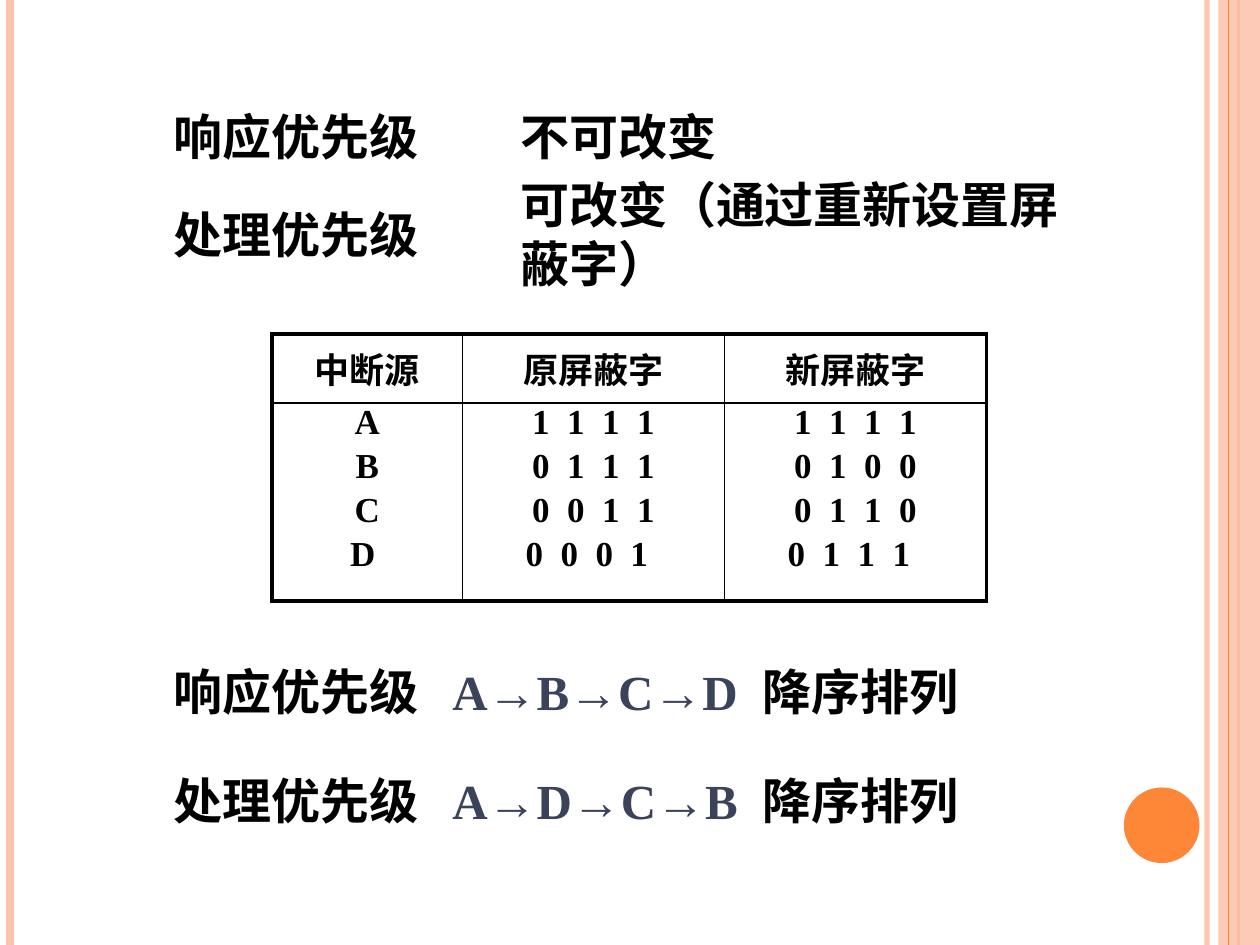
from lxml.etree import SubElement
from pptx import Presentation
from pptx.dml.color import RGBColor
from pptx.enum.shapes import MSO_CONNECTOR, MSO_SHAPE
from pptx.enum.text import MSO_ANCHOR, PP_ALIGN
from pptx.oxml.ns import qn
from pptx.util import Inches, Pt

INK = {"text": "000000", "order": "3B435B", "peach": "FEC3AE", "orange": "FE8637"}


class Deck:
    """Hold the style and the current slide, and draw each kind of element."""

    def __init__(self, wide, high):
        self.prs = Presentation()
        self.prs.slide_width, self.prs.slide_height = Inches(wide), Inches(high)
        self.slide = self.prs.slides.add_slide(self.prs.slide_layouts[6])
        self.shapes = self.slide.shapes
        self.font = "Times New Roman"

    def color(self, name):
        return RGBColor.from_string(INK[name])

    def fade(self, node, alpha):
        tint = node.find(".//" + qn("a:srgbClr"))
        SubElement(tint, qn("a:alpha")).set("val", str(alpha * 1000))

    def rule(self, x, high, name, width, alpha=100):
        line = self.shapes.add_connector(
            MSO_CONNECTOR.STRAIGHT, Inches(x), Inches(0), Inches(x), Inches(high))
        line.line.color.rgb = self.color(name)
        line.line.width = Pt(width)
        props = line._element.spPr
        if alpha < 100:
            self.fade(props, alpha)
        SubElement(props, qn("a:effectLst"))

    def shape(self, kind, box, name, alpha=100):
        item = self.shapes.add_shape(kind, *map(Inches, box))
        item.shadow.inherit = False
        item.fill.solid()
        item.fill.fore_color.rgb = self.color(name)
        item.line.fill.background()
        if alpha < 100:
            self.fade(item._element.spPr, alpha)

    def run(self, para, text, size, name="text"):
        run = para.add_run()
        run.text = text
        font = run.font
        font.name, font.size, font.bold = self.font, Pt(size), True
        font.color.rgb = self.color(name)
        return run

    def text(self, box, runs, tabs=()):
        frame = self.shapes.add_textbox(*map(Inches, box)).text_frame
        frame.word_wrap = bool(tabs)
        frame.vertical_anchor = MSO_ANCHOR.MIDDLE
        frame.margin_left = frame.margin_right = 0
        frame.margin_top = frame.margin_bottom = 0
        para = frame.paragraphs[0]
        if tabs:
            stops = SubElement(para._p.get_or_add_pPr(), qn("a:tabLst"))
            for tab in tabs:
                SubElement(stops, qn("a:tab"), pos=str(Inches(tab)), algn="l")
        for words, name in runs:
            self.run(para, words, 28, name)

    def edge(self, cell, side, width):
        line = SubElement(cell._tc.get_or_add_tcPr(), qn("a:ln" + side), w=str(Pt(width)))
        fill = SubElement(line, qn("a:solidFill"))
        SubElement(fill, qn("a:srgbClr"), val=INK["text"])

    def cell(self, cell, lines, sides, anchor):
        cell.margin_left = cell.margin_right = 0
        cell.margin_top = cell.margin_bottom = 0
        cell.vertical_anchor = anchor
        for side, outer in sides.items():
            self.edge(cell, side, 2.25 if outer else 1)
        cell.fill.background()
        frame = cell.text_frame
        for i, line in enumerate(lines):
            para = frame.add_paragraph() if i else frame.paragraphs[0]
            para.alignment = PP_ALIGN.CENTER
            if i:
                para.space_before = Pt(3)
            run = self.run(para, line, 20)
            if line[0].isdigit():
                run._r.get_or_add_rPr().set("spc", "250")

    def table(self, box, cols, rows, data):
        grid = self.shapes.add_table(len(rows), len(cols), *map(Inches, box)).table
        grid.first_row = grid.horz_banding = False
        for col, wide in zip(grid.columns, cols):
            col.width = Inches(wide)
        for r, high in enumerate(rows):
            grid.rows[r].height = Inches(high)
            for c, lines in enumerate(data[r]):
                sides = {"L": c == 0, "R": c == len(cols) - 1,
                         "T": r == 0, "B": r == len(rows) - 1}
                anchor = MSO_ANCHOR.TOP if r else MSO_ANCHOR.MIDDLE
                self.cell(grid.cell(r, c), lines, sides, anchor)


def main():
    deck = Deck(10, 7.5)
    deck.rule(9.58, 7.5, "peach", 3, 93)
    deck.rule(0.08, 7.5, "peach", 4.5)
    deck.rule(9.83, 7.5, "orange", 1.5)
    deck.shape(MSO_SHAPE.RECTANGLE, (9.67, 0, 0.33, 7.5), "peach", 87)
    deck.rule(9.75, 7.5, "orange", 0.75)
    deck.shape(MSO_SHAPE.OVAL, (8.92, 6.25, 0.6, 0.6), "orange")

    ranks = [
        ("响应优先级", "不可改变", 2.34, 0.84, "A→B→C→D", 5.25),
        ("处理优先级", "可改变（通过重新设置屏蔽字）", 4.41, 1.62, "A→D→C→B", 6.11),
    ]
    for label, note, wide, top, order, low in ranks:
        deck.text((1.38, top, 2.34, 0.47), [(label, "text")])
        deck.text((4.13, top, wide, 0.47), [(note, "text")])
        deck.text((1.38, low, 6.93, 0.47),
                  [(label + "\t", "text"), (order + "\t", "order"), ("降序排列", "text")],
                  (2.21, 4.67))

    deck.table((2.16, 2.65, 5.67, 2.12), (1.51, 2.08, 2.08), (0.55, 1.57), [
        [["中断源"], ["原屏蔽字"], ["新屏蔽字"]],
        [["A", "B", "C", "D "],
         ["1 1 1 1", "0 1 1 1", "0 0 1 1", "0 0 0 1 "],
         ["1 1 1 1", "0 1 0 0", "0 1 1 0", "0 1 1 1 "]],
    ])
    deck.prs.save("out.pptx")


if __name__ == "__main__":
    main()
